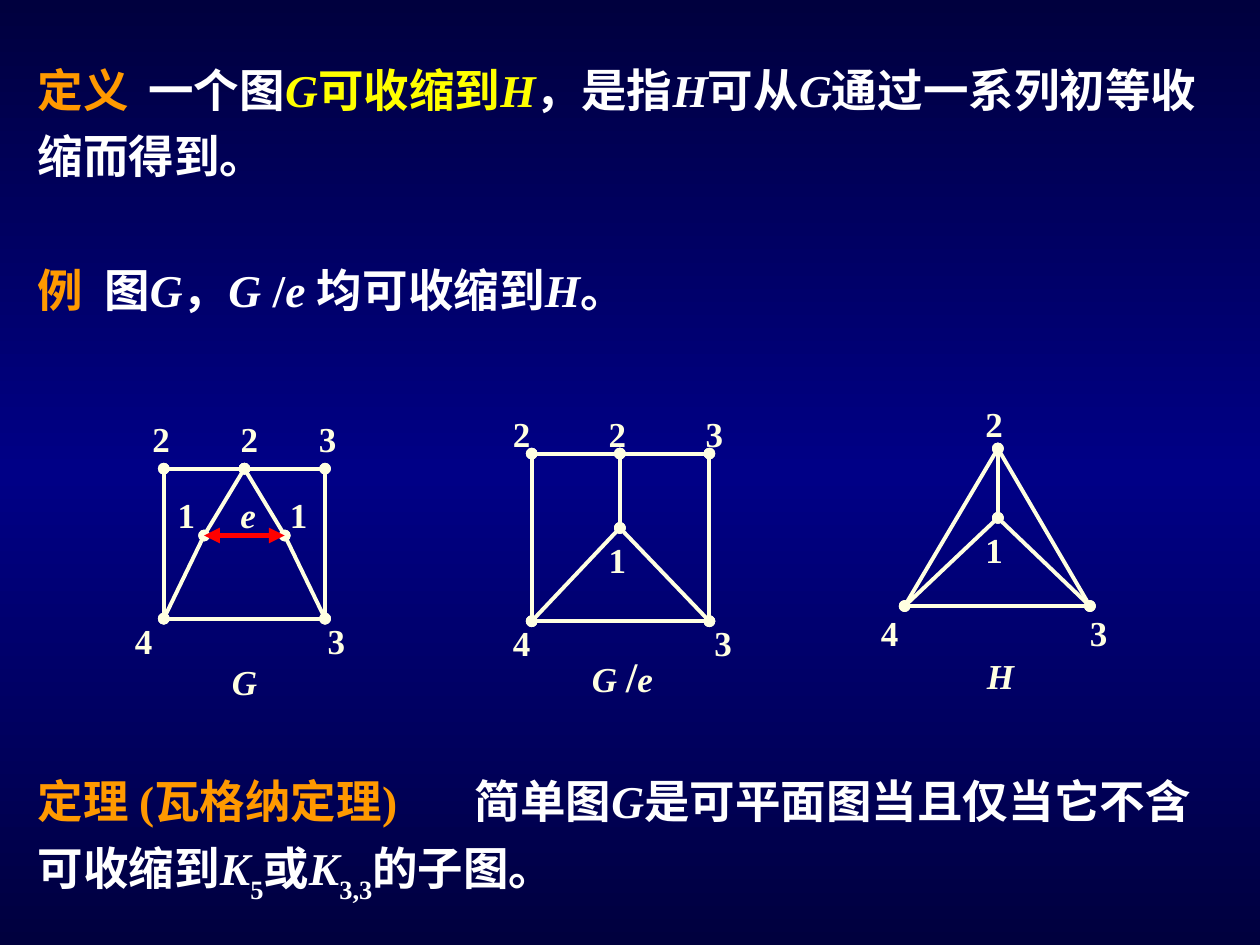
from copy import deepcopy

from lxml.etree import SubElement
from pptx import Presentation
from pptx.dml.color import RGBColor
from pptx.enum.shapes import MSO_CONNECTOR
from pptx.enum.text import MSO_ANCHOR, PP_ALIGN
from pptx.oxml.ns import qn
from pptx.util import Inches, Pt

NIGHT = RGBColor(0x00, 0x00, 0x3E)
NAVY = RGBColor(0x00, 0x00, 0x86)
ORANGE = RGBColor(0xFF, 0x99, 0x00)
YELLOW = RGBColor(0xFF, 0xFF, 0x00)
WHITE = RGBColor(0xFF, 0xFF, 0xFF)
CREAM = RGBColor(0xFF, 0xFF, 0xE1)
RED = RGBColor(0xFF, 0x00, 0x00)


class SlideBuilder:
    font_name = "Times New Roman"
    body_size = 26
    label_size = 20

    def __init__(self, presentation):
        self.slide = presentation.slides.add_slide(presentation.slide_layouts[6])

    def background(self, edge_color, middle_color):
        fill = self.slide.background.fill
        fill.gradient()
        fill.gradient_angle = 90
        for stop in fill.gradient_stops:
            stop.color.rgb = edge_color
        stop_list = self.slide.background._cSld.find(".//" + qn("a:gsLst"))
        stop_list.insert(1, deepcopy(stop_list[0]))
        for stop, position in zip(fill.gradient_stops, (0, 0.5, 1)):
            stop.position = position
        fill.gradient_stops[1].color.rgb = middle_color

    def text_box(self, left, top, width, height):
        shape = self.slide.shapes.add_textbox(
            Inches(left), Inches(top), Inches(width), Inches(height))
        shape.text_frame.word_wrap = True
        return shape.text_frame

    def run(self, paragraph, text, color, size, italic=False, subscript=False):
        run = paragraph.add_run()
        run.text = text
        font = run.font
        font.name = self.font_name
        font.size = Pt(size)
        font.bold = True
        font.italic = italic
        font.color.rgb = color
        if subscript:
            font._element.set("baseline", "-30000")

    def statement(self, top, height, tab, pieces, width=9.53, line_spacing=1.2):
        paragraph = self.text_box(0.2, top, width, height).paragraphs[0]
        paragraph.line_spacing = line_spacing
        tab_list = SubElement(paragraph._p.get_or_add_pPr(), qn("a:tabLst"))
        SubElement(tab_list, qn("a:tab"), pos=str(Inches(tab)), algn="l")
        for text, color, *style in pieces:
            self.run(paragraph, text, color, self.body_size,
                     italic="italic" in style, subscript="subscript" in style)

    def label(self, center_x, center_y, pieces, width=0.3, height=0.36):
        text_frame = self.text_box(
            center_x - width / 2, center_y - height / 2, width, height)
        text_frame.margin_left = text_frame.margin_right = 0
        text_frame.margin_top = text_frame.margin_bottom = 0
        text_frame.vertical_anchor = MSO_ANCHOR.MIDDLE
        paragraph = text_frame.paragraphs[0]
        paragraph.alignment = PP_ALIGN.CENTER
        for text, size in pieces:
            self.run(paragraph, text, CREAM, size, italic=text.strip().isalpha())

    def line(self, start, end, color=CREAM, weight=2.25, ending="oval"):
        connector = self.slide.shapes.add_connector(
            MSO_CONNECTOR.STRAIGHT, *(Inches(value) for value in (*start, *end)))
        connector.line.color.rgb = color
        connector.line.width = Pt(weight)
        line_element = connector.line._get_or_add_ln()
        for tag in ("a:headEnd", "a:tailEnd"):
            SubElement(line_element, qn(tag), type=ending)
        SubElement(connector._element.spPr, qn("a:effectLst"))

    def graph(self, vertices, edges, labels):
        for start, end in edges.split():
            self.line(vertices[start], vertices[end])
        for text, center_x, center_y in labels:
            self.label(center_x, center_y, [(text, self.label_size)])


def main():
    presentation = Presentation()
    presentation.slide_width = Inches(10)
    presentation.slide_height = Inches(7.5)
    builder = SlideBuilder(presentation)
    builder.background(NIGHT, NAVY)

    builder.statement(0.36, 1.14, 0.88, [
        ("定义\t", ORANGE), ("一个图", WHITE), ("G", YELLOW, "italic"),
        ("可收缩到", YELLOW), ("H", YELLOW, "italic"), ("，是指", WHITE),
        ("H", WHITE, "italic"), ("可从", WHITE), ("G", WHITE, "italic"),
        ("通过一系列初等收缩而得到。", WHITE)])
    builder.statement(2.03, 0.54, 0.53, [
        ("例\t", ORANGE), ("图", WHITE), ("G", WHITE, "italic"), ("，", WHITE),
        ("G ", WHITE, "italic"), ("/", WHITE), ("e ", WHITE, "italic"),
        ("均可收缩到", WHITE), ("H", WHITE, "italic"), ("。", WHITE)],
        width=7.09, line_spacing=1.0)
    builder.statement(6, 1.24, 3.47, [
        ("定理 (瓦格纳定理)\t", ORANGE), ("简单图", WHITE), ("G", WHITE, "italic"),
        ("是可平面图当且仅当它不含可收缩到", WHITE), ("K", WHITE, "italic"),
        ("5", WHITE, "subscript"), ("或", WHITE), ("K", WHITE, "italic"),
        ("3,3", WHITE, "subscript"), ("的子图。", WHITE)])

    graph_g = {"a": (1.3, 3.72), "b": (1.94, 3.72), "c": (2.58, 3.72),
               "d": (1.62, 4.25), "e": (2.26, 4.25),
               "f": (1.3, 4.91), "g": (2.58, 4.91)}
    builder.graph(graph_g, "ab bc af cg fg bd eb df eg", [
        ("2", 1.28, 3.48), ("2", 1.98, 3.48), ("3", 2.6, 3.48),
        ("1", 1.48, 4.08), ("e", 1.97, 4.08), ("1", 2.37, 4.08),
        ("4", 1.14, 5.08), ("3", 2.67, 5.08), ("G", 1.94, 5.41)])
    builder.line(graph_g["d"], graph_g["e"], RED, 3, "triangle")

    contracted_g = {"a": (4.22, 3.6), "b": (4.92, 3.6), "c": (5.63, 3.6),
                    "d": (4.92, 4.19), "f": (4.22, 4.93), "g": (5.63, 4.93)}
    builder.graph(contracted_g, "ab bc af cg db fg df dg", [
        ("2", 4.14, 3.44), ("2", 4.9, 3.44), ("3", 5.67, 3.44),
        ("1", 4.9, 4.44), ("4", 4.14, 5.1), ("3", 5.74, 5.1)])
    builder.label(4.94, 5.36, [("G ", 20), ("/", 24), ("e", 20)], width=0.8)

    graph_h = {"b": (7.92, 3.56), "d": (7.92, 4.11),
               "f": (7.18, 4.81), "g": (8.65, 4.81)}
    builder.graph(graph_h, "bf bg db fg df dg", [
        ("2", 7.89, 3.36), ("1", 7.89, 4.36),
        ("4", 7.06, 5.02), ("3", 8.72, 5.02), ("H", 7.94, 5.36)])

    presentation.save("out.pptx")


if __name__ == "__main__":
    main()
